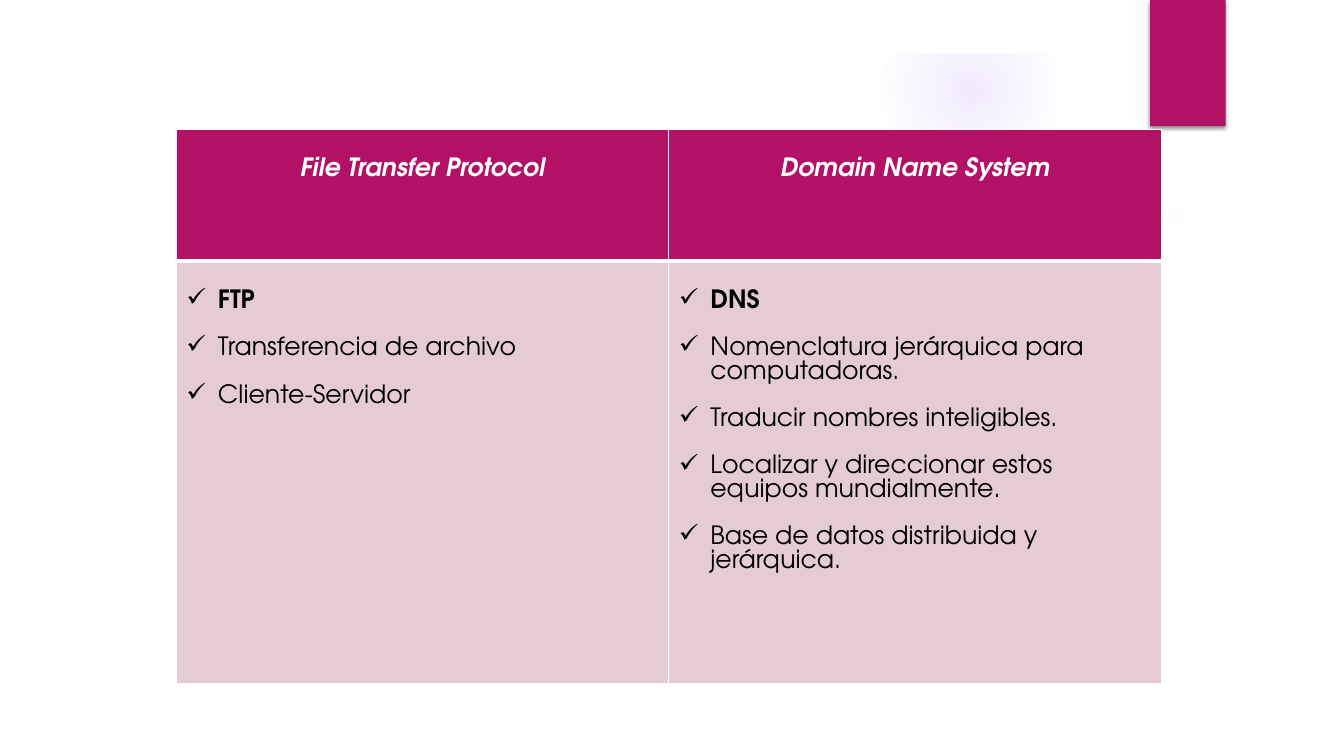
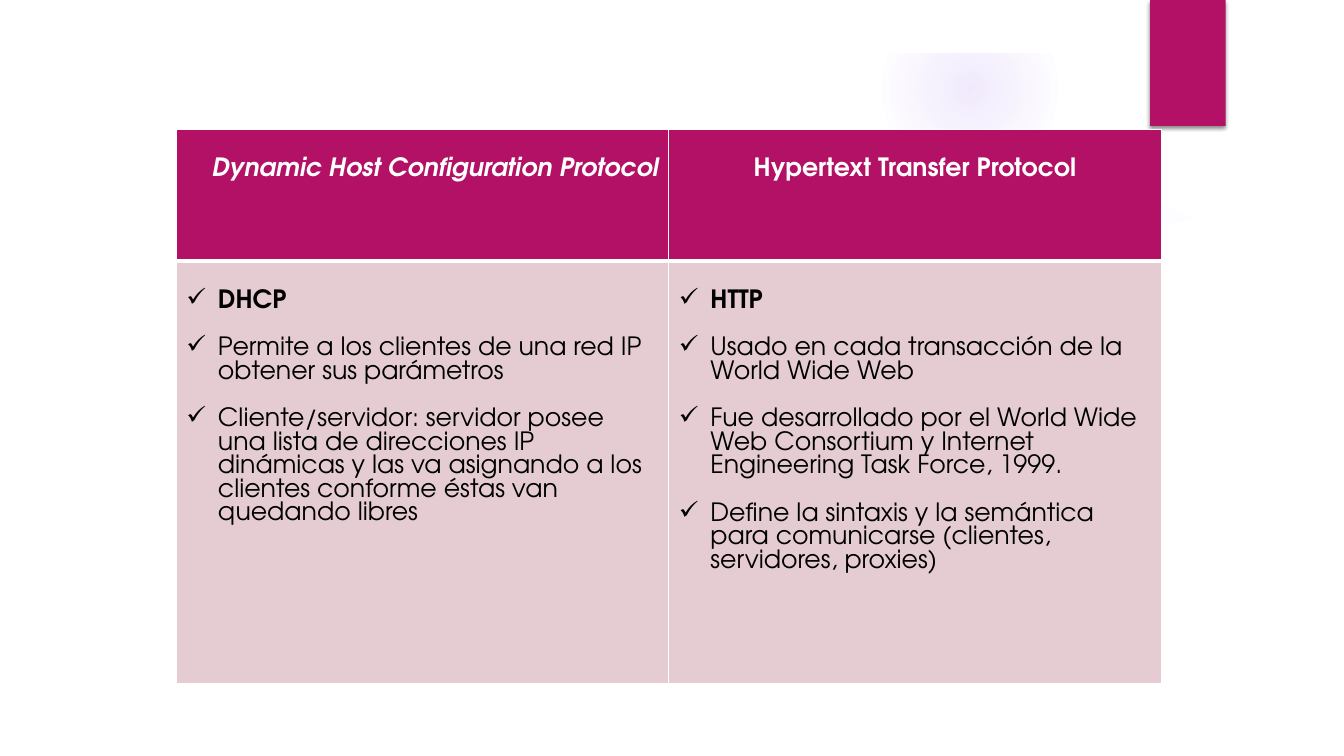
from dataclasses import dataclass
from typing import Any, Sequence

from lxml import etree
from pptx import Presentation
from pptx import util as u
from pptx.dml.color import RGBColor
from pptx.enum import shapes as sh
from pptx.enum import text as tx
from pptx.oxml import parse_xml
from pptx.oxml.ns import nsdecls, qn


@dataclass(frozen=True)
class Theme:
    """Colours, type and text spacing shared by the slides."""
    brand: str = "B31166"
    pale: str = "E5CCD3"
    glow: str = "9B6BF2"
    white: str = "FFFFFF"
    black: str = "000000"
    font: str = "TeX Gyre Adventor"
    size: float = 18
    gap: float = 17
    dent: float = 22.5
    pad: float = 20.6
    thin: float = 1
    thick: float = 3


@dataclass(frozen=True)
class Glow:
    """A round glow: place, width, and (position, opacity) stops in percent."""
    left: float
    top: float
    size: float
    stops: tuple[tuple[int, int], ...]


@dataclass(frozen=True)
class Topic:
    """One table column: a heading and its checked items."""
    head: str
    items: tuple[str, ...]
    align: Any = tx.PP_ALIGN.CENTER
    slant: bool = True


T = Theme()
WIDE, HIGH = 960, 540
GLOWS = (
    Glow(0, 210, 330, ((0, 11), (36, 10), (75, 0))),
    Glow(0, 228, 186, ((0, 8), (36, 8), (72, 0))),
    Glow(677.5, 462, 78, ((0, 14), (36, 7), (66, 0))),
    Glow(677.5, 132, 222, ((0, 7), (36, 6), (69, 0))),
    Glow(630, 0.7, 126, ((0, 14), (36, 7), (73, 0))),
)
SWOOSH = ((672.5, 180), (720, 178.5), (800, 169), (870, 160), (928, 154),
          (923.8, 119.5), (873, 135.4), (823.7, 148.3), (774, 158.8),
          (727, 167), (669.6, 175))
PANEL = ((36, 147), (36, 504), (924.5, 504), (924.5, 147), (864, 156),
         (783.4, 165.6), (702.7, 172), (624, 176.4), (547, 178.3),
         (473, 178.6), (402.5, 177), (319.7, 173.5), (231, 167.8),
         (155.5, 161.3), (97, 154.8), (57, 149.8))
SLIDES = (
    (
        Topic("File Transfer Protocol",
              ("FTP", "Transferencia de archivo", "Cliente-Servidor")),
        Topic("Domain Name System",
              ("DNS", "Nomenclatura jerárquica para computadoras.",
               "Traducir nombres inteligibles.",
               "Localizar y direccionar estos equipos mundialmente.",
               "Base de datos distribuida y jerárquica.")),
    ),
    (
        Topic("Dynamic Host Configuration Protocol",
              ("DHCP",
               "Permite a los clientes de una red IP obtener sus parámetros",
               "Cliente/servidor: servidor posee una lista de direcciones IP "
               "dinámicas y las va asignando a los clientes conforme éstas "
               "van quedando libres"),
              align=tx.PP_ALIGN.RIGHT),
        Topic("Hypertext Transfer Protocol",
              ("HTTP", "Usado en cada transacción de la World Wide Web",
               "Fue desarrollado por el World Wide Web Consortium y Internet "
               "Engineering Task Force, 1999.",
               "Define la sintaxis y la semántica para comunicarse "
               "(clientes, servidores, proxies)"),
              slant=False),
    ),
)


def rgb(tone: str) -> RGBColor:
    """Turn a hex string into a colour."""
    return RGBColor.from_string(tone)


def plain(shape: Any, tone: str) -> Any:
    """Give a shape a flat fill, no line and no shadow."""
    shape.shadow.inherit = False
    shape.fill.solid()
    shape.fill.fore_color.rgb = rgb(tone)
    shape.line.fill.background()
    return shape


def block(slide: Any, kind: Any, left: float, top: float, wide: float,
          high: float, tone: str) -> Any:
    """Add a flat preset shape."""
    return plain(slide.shapes.add_shape(
        kind, u.Pt(left), u.Pt(top), u.Pt(wide), u.Pt(high)), tone)


def outline(slide: Any, dots: Sequence[tuple[float, float]]) -> Any:
    """Add a closed white outline."""
    ends = [(u.Pt(x), u.Pt(y)) for x, y in dots]
    pen = slide.shapes.build_freeform(*ends[0], scale=1.0)
    pen.add_line_segments(ends[1:], close=True)
    return plain(pen.convert_to_shape(), T.white)


def shine(slide: Any, glow: Glow) -> Any:
    """Add a circle that fades out from its centre."""
    disc = block(slide, sh.MSO_SHAPE.OVAL, glow.left, glow.top,
                 glow.size, glow.size, T.glow)
    stops = "".join(
        f'<a:gs pos="{at * 1000}"><a:srgbClr val="{T.glow}">'
        f'<a:alpha val="{part * 1000}"/></a:srgbClr></a:gs>'
        for at, part in glow.stops)
    fade = parse_xml(
        f'<a:gradFill {nsdecls("a")}><a:gsLst>{stops}</a:gsLst>'
        '<a:path path="circle"><a:fillToRect l="50000" t="50000" '
        'r="50000" b="50000"/></a:path></a:gradFill>')
    props = disc.element.spPr
    props.replace(props.find(qn("a:solidFill")), fade)
    return disc


def dress(layout: Any, slide: Any) -> None:
    """Draw the shared backdrop and hand it over to the layout."""
    parts = [shine(slide, glow) for glow in GLOWS]
    swoosh = outline(slide, SWOOSH)
    tint = swoosh.element.spPr.find(qn("a:solidFill"))[0]
    etree.SubElement(tint, qn("a:alpha"), val="20000")
    panel = outline(slide, PANEL)
    frame = block(slide, sh.MSO_SHAPE.FRAME, 0, 0, WIDE, HIGH, T.white)
    frame.adjustments[0] = 0.07
    tab = block(slide, sh.MSO_SHAPE.RECTANGLE, 821.5, 0, 54, 90, T.brand)
    tab.element.spPr.find(qn("a:effectLst")).append(parse_xml(
        f'<a:outerShdw {nsdecls("a")} blurRad="{u.Pt(3)}" dist="{u.Pt(2)}" '
        f'dir="5400000" rotWithShape="0"><a:srgbClr val="{T.black}">'
        '<a:alpha val="45000"/></a:srgbClr></a:outerShdw>'))
    for part in (*parts, swoosh, panel, frame, tab):
        layout.shapes.element.append(part.element)


def write(para: Any, words: str, *, tone: str, bold: bool = False,
          slant: bool = False, align: Any = tx.PP_ALIGN.LEFT,
          after: float = 0, check: bool = False) -> None:
    """Fill a paragraph with formatted text, with a check mark if asked."""
    para.alignment = align
    para.space_after = u.Pt(after)
    run = para.add_run()
    run.text = words
    font = run.font
    font.name, font.size = T.font, u.Pt(T.size)
    font.bold, font.italic = bold, slant
    font.color.rgb = rgb(tone)
    if check:
        props = para._p.get_or_add_pPr()
        props.set("marL", str(u.Pt(T.dent)))
        props.set("indent", str(-u.Pt(T.dent)))
        etree.SubElement(props, qn("a:buChar"), char="✓")


def paint(cell: Any, tone: str, top: float, base: float) -> None:
    """Set the fill, top margin and white borders of a cell."""
    cell.margin_top = u.Pt(T.pad)
    cell.fill.solid()
    cell.fill.fore_color.rgb = rgb(tone)
    edges = (("L", T.thin), ("R", T.thin), ("T", top), ("B", base))
    for spot, (side, width) in enumerate(edges):
        cell._tc.get_or_add_tcPr().insert(spot, parse_xml(
            f'<a:ln{side} {nsdecls("a")} w="{u.Pt(width)}"><a:solidFill>'
            f'<a:srgbClr val="{T.white}"/></a:solidFill></a:ln{side}>'))


def compare(slide: Any, topics: Sequence[Topic]) -> None:
    """Add the table that sets topics side by side."""
    rows, wide = (94.3, 301.7), 703.5
    grid = slide.shapes.add_table(
        len(rows), len(topics), u.Pt(126), u.Pt(92.2),
        u.Pt(wide), u.Pt(sum(rows))).table
    for row, high in zip(grid.rows, rows):
        row.height = u.Pt(high)
    for col, topic in enumerate(topics):
        grid.columns[col].width = u.Pt(wide / len(topics))
        head, body = grid.cell(0, col), grid.cell(1, col)
        paint(head, T.brand, T.thin, T.thick)
        paint(body, T.pale, T.thick, T.thin)
        write(head.text_frame.paragraphs[0], topic.head, tone=T.white,
              bold=True, slant=topic.slant, align=topic.align)
        frame = body.text_frame
        for spot, item in enumerate(topic.items):
            para = frame.add_paragraph() if spot else frame.paragraphs[0]
            write(para, item, tone=T.black, bold=spot == 0,
                  after=T.gap, check=True)


def main() -> None:
    """Build and save the deck."""
    deck = Presentation()
    deck.slide_width, deck.slide_height = u.Pt(WIDE), u.Pt(HIGH)
    layout = deck.slide_layouts.get_by_name("Blank")
    pages = [deck.slides.add_slide(layout) for _ in SLIDES]
    dress(layout, pages[0])
    for page, topics in zip(pages, SLIDES):
        compare(page, topics)
    deck.save("out.pptx")


main()
